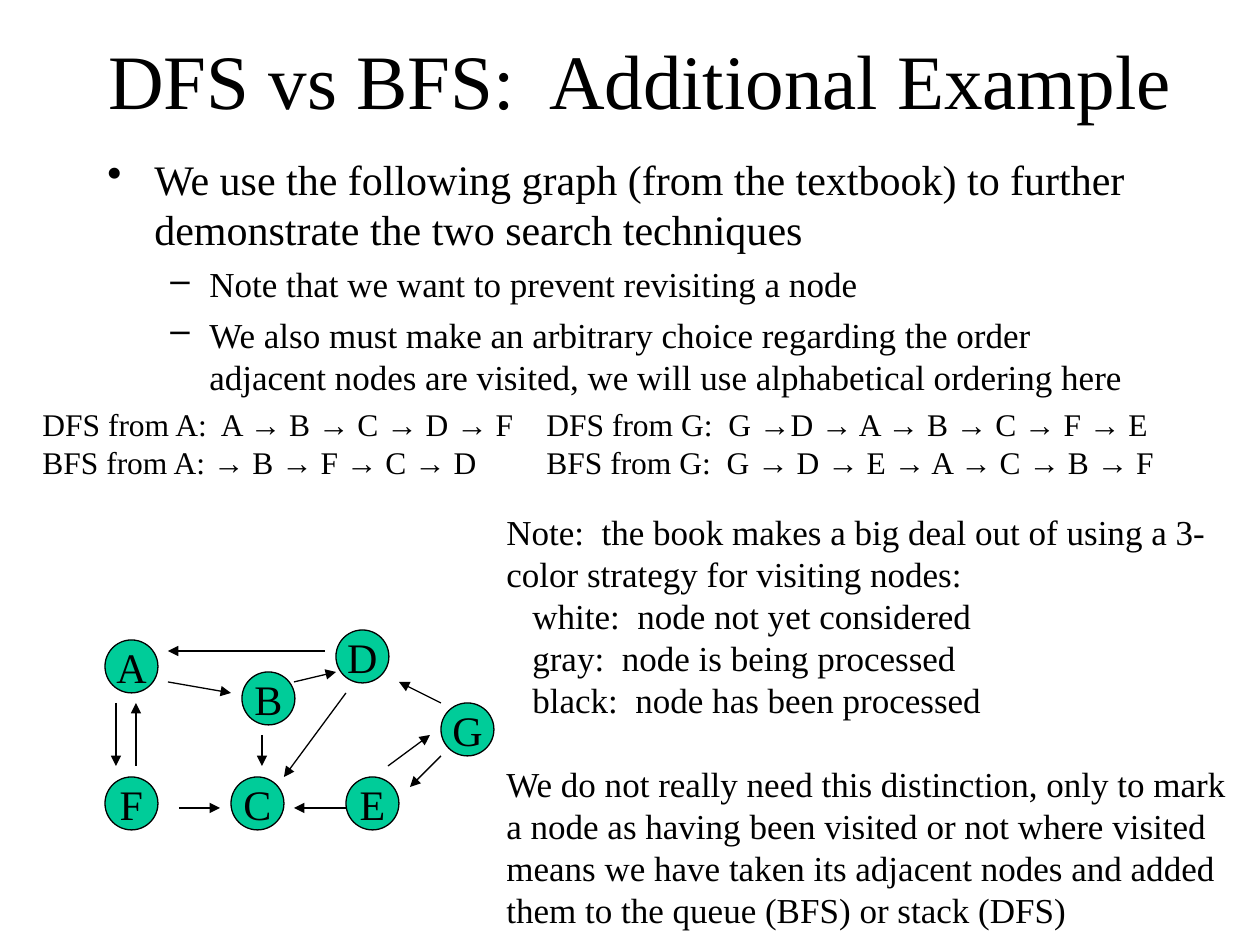
import pptx
import pptx.util
import pptx.dml.color
import pptx.enum.shapes
import pptx.enum.text
import pptx.oxml.ns
import lxml.etree
from dataclasses import dataclass


@dataclass(frozen=True)
class Theme:
    ink: str = "000000"
    node: str = "00CC99"
    font: str = "Times New Roman"
    arrow_font: str = "Arial"
    title: int = 44
    lead: int = 24
    text: int = 20
    order: int = 18
    line: float = 0.74
    leading: float = 1.2


THEME = Theme()
SCALE = 914400 // 126
PAGE = (1260, 945)
INCH = 126
NODE_SIZE = 53
ARROW = "\u2192"

TITLE = "DFS vs BFS:  Additional Example"
BULLETS = [
    (0, "We use the following graph (from the textbook) to further "
        "demonstrate the two search techniques"),
    (1, "Note that we want to prevent revisiting a node"),
    (1, "We also must make an arbitrary choice regarding the order "
        "adjacent nodes are visited, we will use alphabetical ordering here"),
]
LEVELS = [
    dict(size=THEME.lead, left=47, hang=47, before=6, bullet="\u2022"),
    dict(size=THEME.text, left=102, hang=39, before=5, bullet="\u2013"),
]
ORDERS = [
    "DFS from A:  A → B → C → D → F\tDFS from G:  G →D → A → B → C → F → E",
    "BFS from A: → B → F → C → D\tBFS from G:  G → D → E → A → C → B → F",
]
NOTE = "Note:  the book makes a big deal out of using a 3-color strategy for visiting nodes:"
COLORS = [
    "white:  node not yet considered",
    "gray:  node is being processed",
    "black:  node has been processed",
]
CLOSING = ("We do not really need this distinction, only to mark a node as having been "
           "visited or not where visited means we have taken its adjacent nodes and added "
           "them to the queue (BFS) or stack (DFS)")
NODES = {
    "A": (105, 640), "F": (105, 777), "B": (242, 672), "C": (231, 777),
    "D": (336, 630), "G": (441, 703), "E": (346, 777),
}
EDGES = [
    (116, 703, 116, 766), (262, 735, 262, 766), (441, 756, 410, 787),
    (346, 693, 284, 777), (136, 766, 136, 703), (179, 808, 220, 808),
    (346, 808, 294, 808), (325, 651, 168, 651), (168, 682, 231, 693),
    (294, 682, 336, 672), (388, 766, 430, 735), (441, 703, 399, 682),
]


def px(value):
    return pptx.util.Emu(value * SCALE)


def rgb(value):
    return pptx.dml.color.RGBColor.from_string(value)


def add_box(page, left, top, width, height, wrap=True):
    box = page.shapes.add_textbox(px(left), px(top), px(width), px(height))
    box.text_frame.word_wrap = wrap
    return box.text_frame


def add_para(frame, text, size, before=0, left=0, hang=0, bullet=None, tab=None):
    para = frame.paragraphs[0]
    if para.runs:
        para = frame.add_paragraph()
    para.line_spacing = pptx.util.Pt(size * THEME.leading)
    para.space_before = pptx.util.Pt(before)
    props = para._p.get_or_add_pPr()
    if left:
        props.set("marL", str(px(left)))
        props.set("indent", str(px(-hang)))
    if bullet:
        mark = lxml.etree.SubElement(props, pptx.oxml.ns.qn("a:buChar"))
        mark.set("char", bullet)
    if tab:
        props.set("defTabSz", str(px(INCH)))
        stops = lxml.etree.SubElement(props, pptx.oxml.ns.qn("a:tabLst"))
        stop = lxml.etree.SubElement(stops, pptx.oxml.ns.qn("a:tab"))
        stop.set("pos", str(px(tab)))
        stop.set("algn", "l")
    for index, part in enumerate(text.split(ARROW)):
        if index:
            add_span(para, ARROW, size, THEME.arrow_font)
        add_span(para, part, size, THEME.font)
    return para


def add_span(para, text, size, font):
    span = para.add_run()
    span.text = text
    span.font.size = pptx.util.Pt(size)
    span.font.name = font
    span.font.color.rgb = rgb(THEME.ink)


def add_node(page, label, left, top):
    node = page.shapes.add_shape(
        pptx.enum.shapes.MSO_SHAPE.OVAL, px(left), px(top), px(NODE_SIZE), px(NODE_SIZE))
    node.shadow.inherit = False
    node.fill.solid()
    node.fill.fore_color.rgb = rgb(THEME.node)
    node.line.color.rgb = rgb(THEME.ink)
    node.line.width = pptx.util.Pt(THEME.line)
    frame = node.text_frame
    frame.word_wrap = False
    frame.vertical_anchor = pptx.enum.text.MSO_ANCHOR.MIDDLE
    para = add_para(frame, label, THEME.lead)
    para.alignment = pptx.enum.text.PP_ALIGN.CENTER


def add_edge(page, ends):
    edge = page.shapes.add_connector(
        pptx.enum.shapes.MSO_CONNECTOR.STRAIGHT, *[px(end) for end in ends])
    edge.line.color.rgb = rgb(THEME.ink)
    edge.line.width = pptx.util.Pt(THEME.line)
    head = lxml.etree.SubElement(edge.line._get_or_add_ln(), pptx.oxml.ns.qn("a:tailEnd"))
    head.set("type", "triangle")
    lxml.etree.SubElement(edge._element.spPr, pptx.oxml.ns.qn("a:effectLst"))


deck = pptx.Presentation()
deck.slide_width, deck.slide_height = map(px, PAGE)
page = deck.slides.add_slide(deck.slide_layouts[6])

title = add_box(page, 84, 0, 1113, 158)
title.vertical_anchor = pptx.enum.text.MSO_ANCHOR.MIDDLE
add_para(title, TITLE, THEME.title).alignment = pptx.enum.text.PP_ALIGN.CENTER

body = add_box(page, 95, 147, 1071, 262)
for level, text in BULLETS:
    add_para(body, text, **LEVELS[level]).level = level

for label, corner in NODES.items():
    add_node(page, label, *corner)
for ends in EDGES:
    add_edge(page, ends)

orders = add_box(page, 30, 399, 1140, 88, wrap=False)
for text in ORDERS:
    add_para(orders, text, THEME.order, tab=4 * INCH)

remarks = add_box(page, 494, 504, 746, 433)
add_para(remarks, NOTE, THEME.text)
for text in COLORS:
    add_para(remarks, text, THEME.text, left=26)
add_para(remarks, CLOSING, THEME.text, before=THEME.text * THEME.leading)

deck.save("out.pptx")
